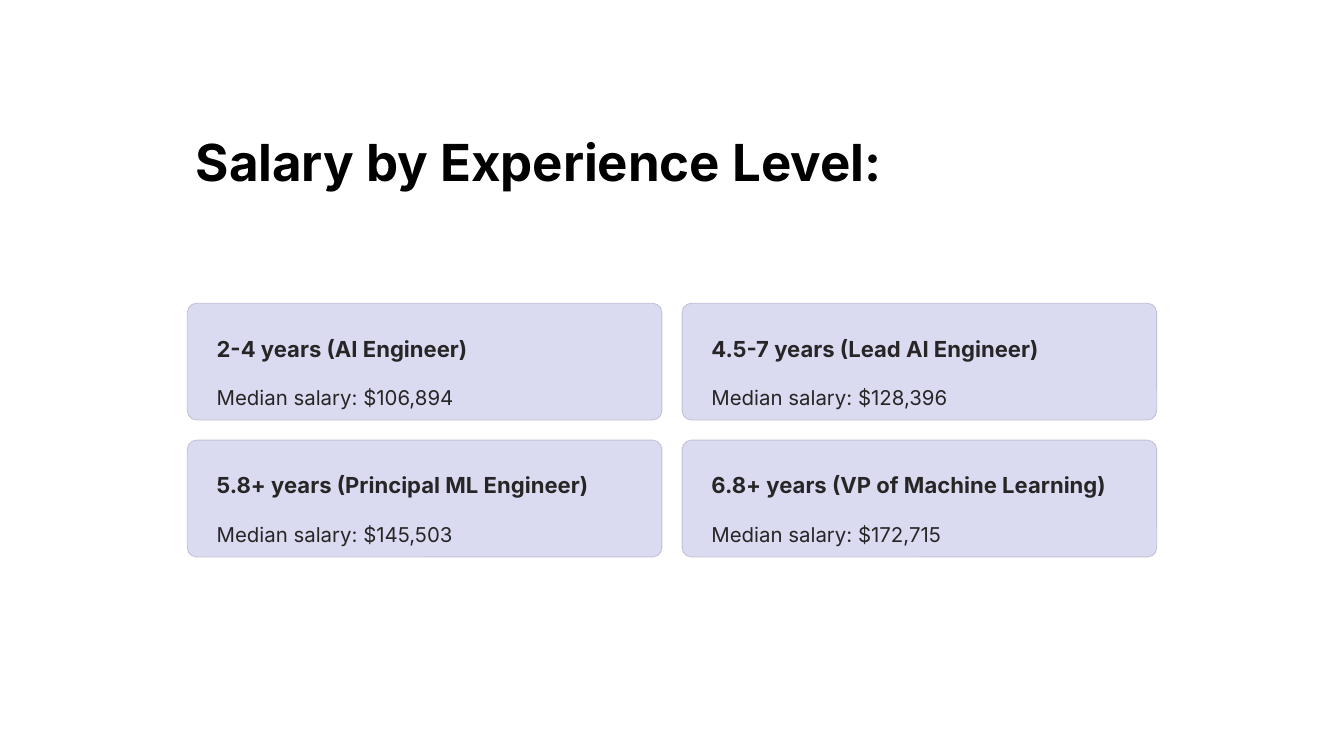
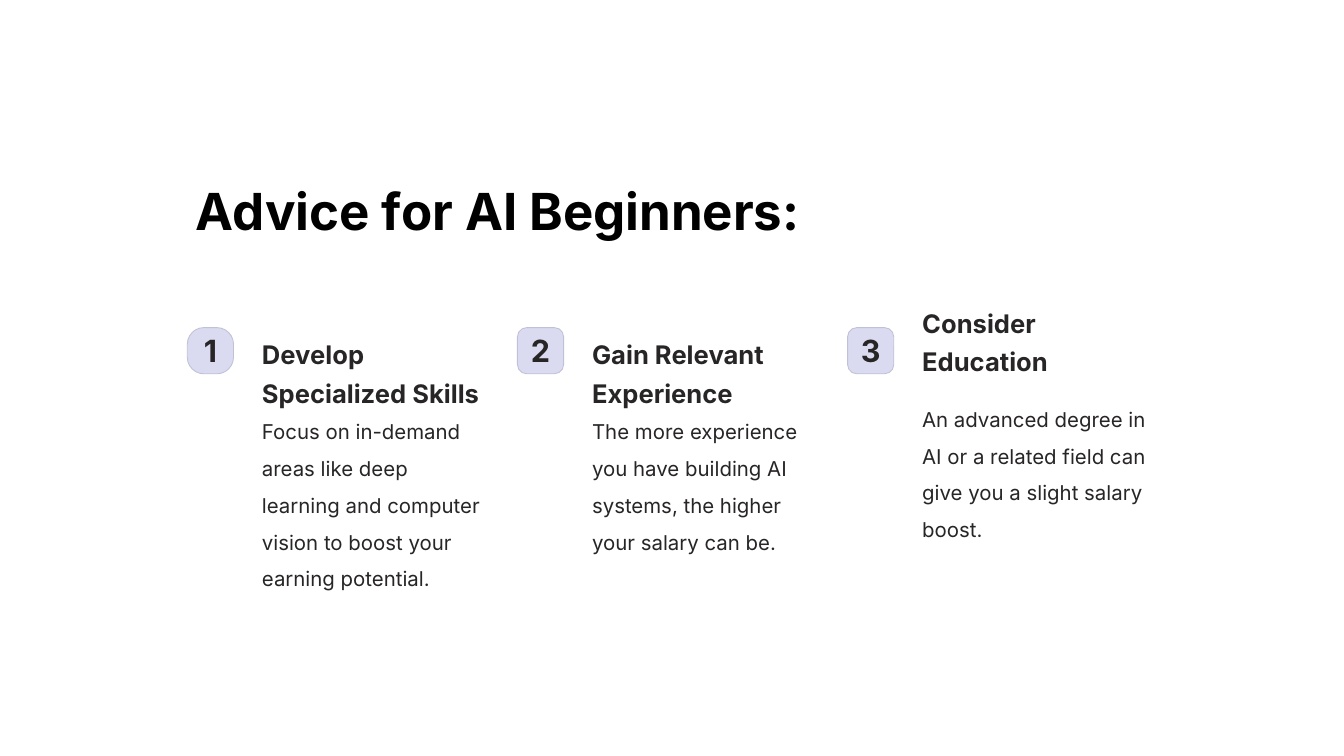
from pptx import Presentation
from pptx.dml.color import RGBColor
from pptx.enum.shapes import MSO_SHAPE
from pptx.enum.text import MSO_ANCHOR, MSO_AUTO_SIZE, PP_ALIGN
from pptx.util import Emu, Pt

FONT = "Inter"
BLACK = RGBColor(0x00, 0x00, 0x00)
INK = RGBColor(0x27, 0x25, 0x25)
LAVENDER = RGBColor(0xDA, 0xDB, 0xF1)
EDGE = RGBColor(0xC0, 0xC1, 0xD7)
TITLE_ONLY = 5
LEFT = 223

SALARIES = [
    ("2-4 years (AI Engineer)", "Median salary: $106,894"),
    ("4.5-7 years (Lead AI Engineer)", "Median salary: $128,396"),
    ("5.8+ years (Principal ML Engineer)", "Median salary: $145,503"),
    ("6.8+ years (VP of Machine Learning)", "Median salary: $172,715"),
]

# heading, advice, heading offset, advice offset, advice height, badge rounding
ADVICE = [
    ("Develop Specialized Skills",
     "Focus on in-demand areas like deep learning and computer vision "
     "to boost your earning potential.", 0, 90, 182, 0.36),
    ("Gain Relevant Experience",
     "The more experience you have building AI systems, the higher "
     "your salary can be.", 0, 90, 146, 0.2),
    ("Consider Education",
     "An advanced degree in AI or a related field can give you a slight "
     "salary boost.", -38, 75, 109, 0.2),
]


def px(n):
    return Emu(n * 9144)


def box(x, y, w, h):
    return px(x), px(y), px(w), px(h)


def write(shape, text, size, color=INK, bold=False, spacing=1.25,
          align=PP_ALIGN.LEFT, anchor=MSO_ANCHOR.TOP):
    tf = shape.text_frame
    tf.word_wrap = True
    tf.auto_size = MSO_AUTO_SIZE.NONE
    tf.vertical_anchor = anchor
    tf.text = text
    p = tf.paragraphs[0]
    p.alignment = align
    p.line_spacing = spacing
    p.font.name = FONT
    p.font.size = Pt(size)
    p.font.bold = bold
    p.font.color.rgb = color


def add_text(s, x, y, w, h, text, size, **style):
    write(s.shapes.add_textbox(*box(x, y, w, h)), text, size, **style)


def add_panel(s, x, y, w, h, rounding):
    sp = s.shapes.add_shape(MSO_SHAPE.ROUNDED_RECTANGLE, *box(x, y, w, h))
    sp.adjustments[0] = rounding
    sp.shadow.inherit = False
    sp.fill.solid()
    sp.fill.fore_color.rgb = LAVENDER
    sp.line.color.rgb = EDGE
    sp.line.width = Pt(0.75)
    return sp


def add_titled_slide(prs, title, y, w):
    s = prs.slides.add_slide(prs.slide_layouts[TITLE_ONLY])
    sp = s.shapes.title
    sp.left, sp.top, sp.width, sp.height = box(LEFT, y, w, 76)
    write(sp, title, 43.7, color=BLACK, bold=True)
    return s


def add_salary_card(s, x, y, w, h, level, salary):
    add_panel(s, x, y, w, h, 0.08)
    add_text(s, x + 25, y + 25, w - 50, 38, level, 18.9, bold=True)
    add_text(s, x + 25, y + 78, w - 50, 36, salary, 17.5, spacing=1.5)


def add_advice_column(s, x, y, w, number, advice):
    heading, body, heading_dy, body_dy, body_h, rounding = advice
    badge = add_panel(s, x, y, 55, 55, rounding)
    tf = badge.text_frame
    tf.margin_left = tf.margin_right = tf.margin_top = tf.margin_bottom = 0
    write(badge, str(number), 26.2, bold=True, spacing=1.0,
          align=PP_ALIGN.CENTER, anchor=MSO_ANCHOR.MIDDLE)
    add_text(s, x + 79, y + heading_dy, w - 79, 76, heading, 21.9, bold=True)
    add_text(s, x + 79, y + body_dy, w - 79, body_h, body, 17.5, spacing=1.5)


def build_salary_slide(prs):
    s = add_titled_slide(prs, "Salary by Experience Level:", 132, 1235)
    w, h, gap = 565, 139, 24
    for i, (level, salary) in enumerate(SALARIES):
        row, col = divmod(i, 2)
        add_salary_card(s, LEFT + col * (w + gap), 361 + row * (h + gap),
                        w, h, level, salary)


def build_advice_slide(prs):
    s = add_titled_slide(prs, "Advice for AI Beginners:", 191, 1048)
    w, gap = 369, 24
    for i, advice in enumerate(ADVICE):
        add_advice_column(s, LEFT + i * (w + gap), 390, w, i + 1, advice)


def main():
    prs = Presentation()
    prs.slide_width, prs.slide_height = px(1600), px(900)
    build_salary_slide(prs)
    build_advice_slide(prs)
    prs.save("out.pptx")


if __name__ == "__main__":
    main()
